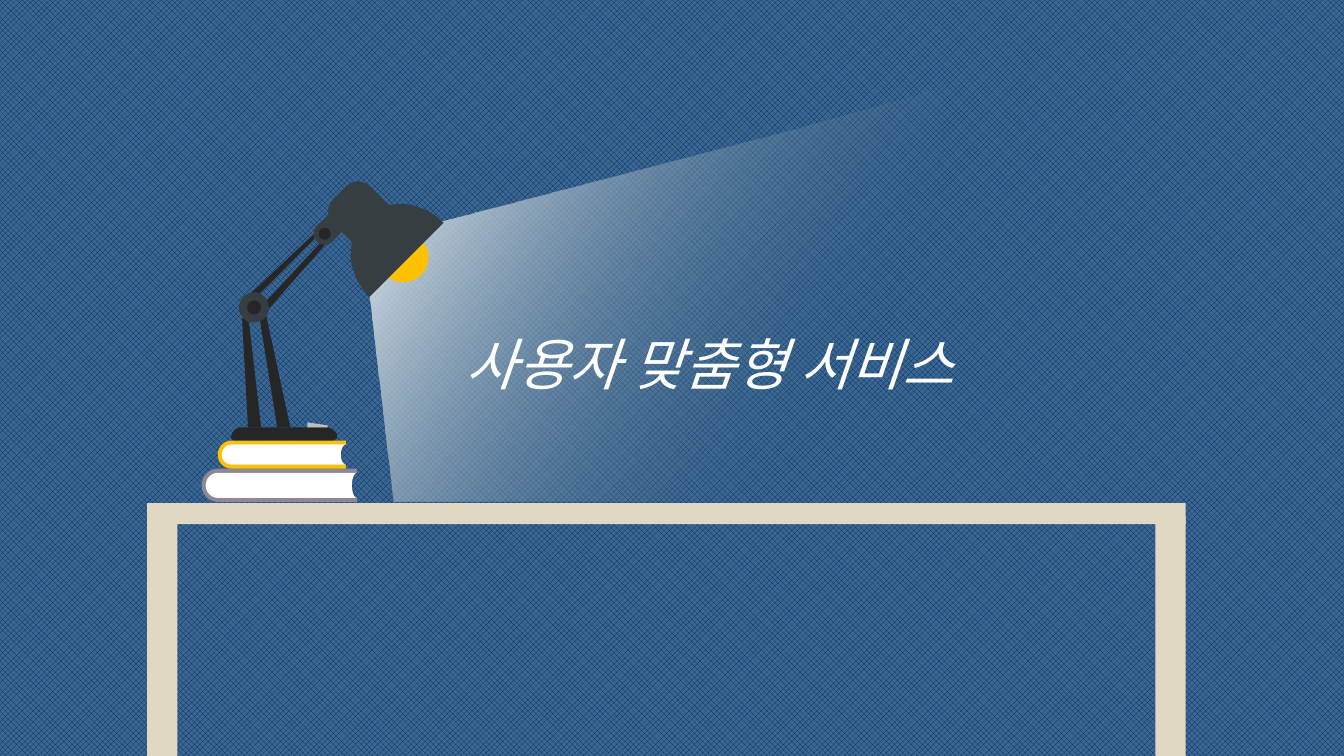
from math import cos, radians, sin

from lxml import etree
from pptx import Presentation
from pptx.dml.color import RGBColor
from pptx.enum.dml import MSO_PATTERN
from pptx.enum.shapes import MSO_SHAPE
from pptx.enum.text import MSO_AUTO_SIZE
from pptx.oxml.ns import qn
from pptx.util import Inches, Pt

CELL = Inches(1)
COLUMNS, ROWS = 13.33, 7.5

WEAVE = MSO_PATTERN.OUTLINED_DIAMOND
RECTANGLE = MSO_SHAPE.RECTANGLE
OVAL = MSO_SHAPE.OVAL
GROW = MSO_AUTO_SIZE.SHAPE_TO_FIT_TEXT

NAVY = RGBColor(0x00, 0x20, 0x60)
BLUE = RGBColor(0x3B, 0x68, 0x91)
WOOD = RGBColor(0xE0, 0xD8, 0xC3)
MAUVE = RGBColor(0x8C, 0x88, 0x96)
YELLOW = RGBColor(0xFF, 0xC0, 0x00)
WHITE = RGBColor(0xFF, 0xFF, 0xFF)
HAZE = RGBColor(0x34, 0x5E, 0x77)
BLACK = RGBColor(0x26, 0x26, 0x26)
SLATE = RGBColor(0x36, 0x3E, 0x42)
SILVER = RGBColor(0xBF, 0xBF, 0xBF)

FONT = "Noto Sans CJK KR"
TITLE_FORMAT = {"name": FONT, "size": Pt(40), "italic": True}

DESK_LEFT, DESK_TOP, DESK_WIDTH = 1.46, 4.99, 10.3
BOARD, LEG, LEG_TOP = 0.21, 0.3, 5.13
COVER, FORE_EDGE = 0.04, 0.05
LAMP_AXIS = 1.455

BEAM = [(3.66, 2.92), (4.37, 2.2), (7.86, 1.29), (9.35, 0.87),
        (9.3, 4.32), (8.13, 4.97), (3.9, 4.98)]
FOOT = [(2.37, 4.24), (3.26, 4.24), (3.3, 4.26), (3.34, 4.3),
        (3.34, 4.35), (3.31, 4.37), (2.32, 4.37), (2.29, 4.35),
        (2.3, 4.3), (2.33, 4.26)]
REAR_POST = [(2.4, 3.15), (2.46, 4.24), (2.59, 4.24), (2.47, 3.2)]
FRONT_POST = [(2.88, 4.24), (2.75, 4.24), (2.58, 3.19), (2.64, 3.13)]
SOCKET_HALF = [(3.93, 2.11), (3.67, 1.85), (3.63, 1.82), (3.57, 1.8),
               (3.53, 1.8), (3.47, 1.82), (3.43, 1.85)]
SHADE_HALF = [(4.4, 2.21), (4.32, 2.14), (4.22, 2.08), (4.11, 2.04),
              (4, 2.02), (3.9, 2.03), (3.81, 2.05), (3.72, 2.1),
              (3.64, 2.15)]
BULB_NECK = [(3.68, 2.39), (3.68, 2.35), (3.81, 2.22), (3.85, 2.22)]
SWITCH = [(3.05, 4.19), (3.25, 4.22), (3.25, 4.24), (3.05, 4.24)]
ARM = [(3.2, 2.24), (2.49, 2.91), (2.53, 2.9), (2.58, 2.91),
       (3.21, 2.28), (3.26, 2.32), (2.65, 2.98), (2.67, 3.06),
       (3.32, 2.32), (3.21, 2.23)]


def arc(center_x, center_y, radius_x, radius_y, start, end, steps=16):
    angles = [radians(start + (end - start) * i / steps) for i in range(steps + 1)]
    return [(center_x + radius_x * cos(a), center_y + radius_y * sin(a)) for a in angles]


def mirrored(half):
    return half + [(y + LAMP_AXIS, x - LAMP_AXIS) for x, y in reversed(half)]


def paint(shape, color):
    shape.shadow.inherit = False
    shape.line.fill.background()
    shape.fill.solid()
    shape.fill.fore_color.rgb = color
    return shape


def in_cells(*lengths):
    return [round(length * CELL) for length in lengths]


def block(slide, kind, left, top, width, height, color):
    box = in_cells(left, top, width, height)
    paint(slide.shapes.add_shape(kind, *box), color)


def disc(slide, center_x, center_y, radius, color):
    block(slide, OVAL, center_x - radius, center_y - radius, 2 * radius, 2 * radius, color)


def outline(slide, color, *contours):
    scaled = [[in_cells(*point) for point in contour] for contour in contours]
    builder = slide.shapes.build_freeform(*scaled[0][0])
    builder.add_line_segments(scaled[0][1:], close=True)
    for contour in scaled[1:]:
        builder.move_to(*contour[0])
        builder.add_line_segments(contour[1:], close=True)
    return paint(builder.convert_to_shape(), color)


def add_desk(slide):
    block(slide, RECTANGLE, DESK_LEFT, DESK_TOP, DESK_WIDTH, BOARD, WOOD)
    for left in (DESK_LEFT + DESK_WIDTH - LEG, DESK_LEFT):
        block(slide, RECTANGLE, left, LEG_TOP, LEG, ROWS - LEG_TOP, WOOD)


def add_book(slide, left, top, width, height, color):
    right, middle, half = left + width, top + height / 2, height / 2
    spine_x = left + half
    inner = half - COVER
    fore_edge = arc(right, middle, FORE_EDGE, inner, 270, 90)
    spine = arc(spine_x, middle, half, half, 90, 270)
    outline(slide, color, spine + [(right, top)] + fore_edge + [(right, top + height)])
    outline(slide, WHITE, arc(spine_x, middle, inner, inner, 90, 270) + fore_edge)


def add_beam(slide):
    beam = outline(slide, WHITE, BEAM)
    beam.fill.gradient()
    beam.fill.gradient_angle = 330
    near, far = beam.fill.gradient_stops
    near.color.rgb, near.position = WHITE, 0
    far.color.rgb, far.position = HAZE, 0.81
    far_color = list(beam._element.spPr.iter(qn("a:srgbClr")))[1]
    etree.SubElement(far_color, qn("a:alpha"), val="0")


def add_lamp(slide):
    outline(slide, BLACK, FOOT)
    outline(slide, BLACK, REAR_POST, FRONT_POST)
    outline(slide, SLATE, mirrored(SOCKET_HALF))
    outline(slide, YELLOW, arc(4, 2.55, 0.25, 0.25, -106, 196, 32) + BULB_NECK)
    outline(slide, SLATE, mirrored(SHADE_HALF))
    disc(slide, 2.52, 3.05, 0.15, SLATE)
    disc(slide, 2.52, 3.05, 0.07, BLACK)
    outline(slide, SILVER, SWITCH)
    outline(slide, BLACK, ARM)
    elbow = arc(3.22, 2.32, 0.11, 0.11, 225, 45)
    outline(slide, SLATE, [(3.51, 2.18), (3.36, 2.03)] + elbow)
    disc(slide, 3.22, 2.32, 0.06, BLACK)


def add_title(slide, text, left, top, width, height):
    frame = slide.shapes.add_textbox(*in_cells(left, top, width, height)).text_frame
    frame.word_wrap = True
    frame.auto_size = GROW
    paragraph = frame.paragraphs[0]
    paragraph.line_spacing = 1.5
    run = paragraph.add_run()
    run.text = text
    for name, value in TITLE_FORMAT.items():
        setattr(run.font, name, value)
    run.font.color.rgb = WHITE
    etree.SubElement(run._r.get_or_add_rPr(), qn("a:ea"), typeface=FONT)


def main():
    deck = Presentation()
    deck.slide_width, deck.slide_height = in_cells(COLUMNS, ROWS)
    slide = deck.slides.add_slide(deck.slide_layouts[6])
    wall = slide.background.fill
    wall.patterned()
    wall.pattern = WEAVE
    wall.fore_color.rgb, wall.back_color.rgb = NAVY, BLUE
    add_desk(slide)
    add_book(slide, 2, 4.65, 1.54, 0.33, MAUVE)
    add_book(slide, 2.16, 4.37, 1.27, 0.28, YELLOW)
    add_beam(slide)
    add_lamp(slide)
    add_title(slide, "사용자 맞춤형 서비스", 4.52, 2.89, 6.14, 0.98)
    deck.save("out.pptx")


if __name__ == "__main__":
    main()
